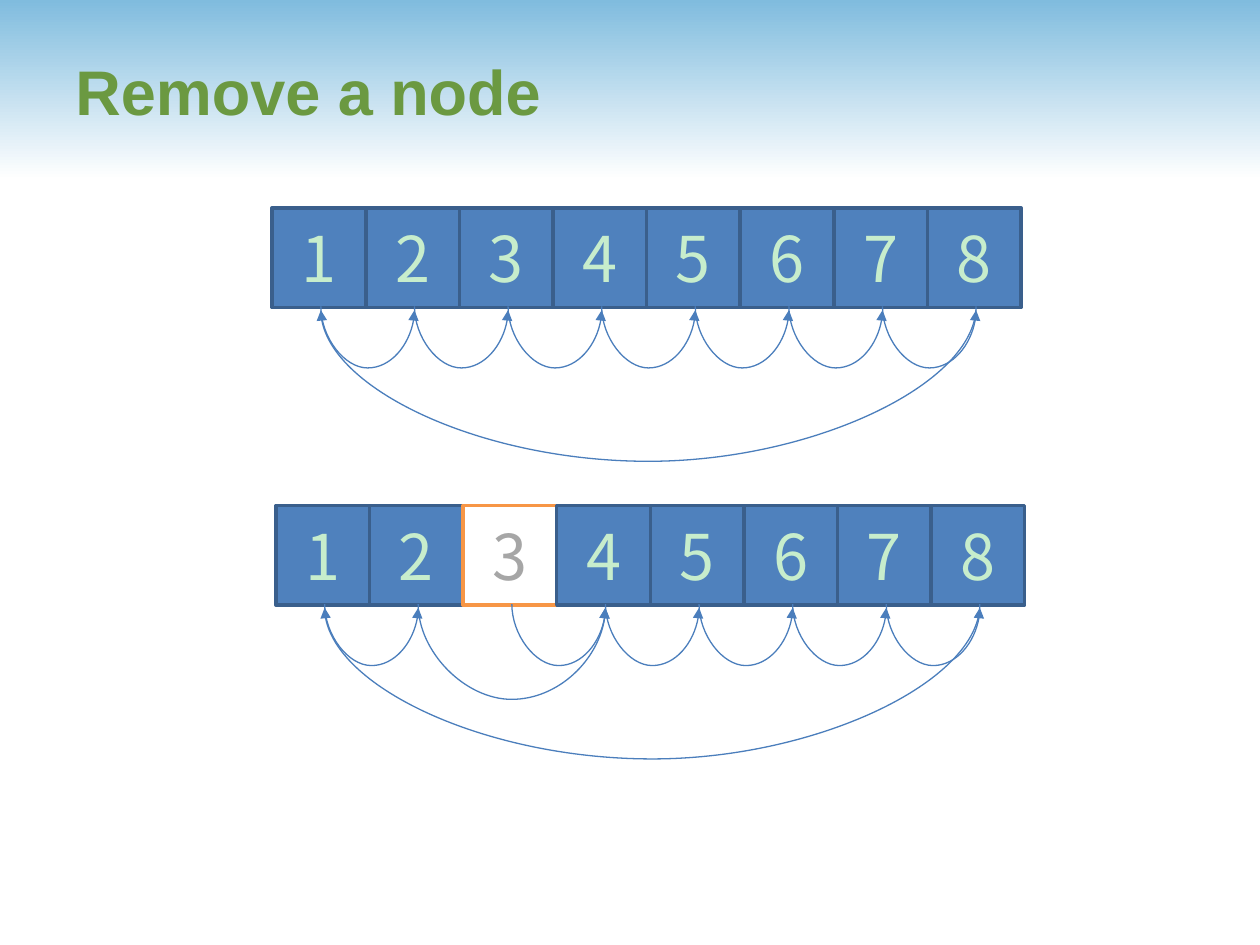
from dataclasses import dataclass
from typing import NamedTuple

from lxml import etree
from pptx import Presentation
from pptx import util as u
from pptx.dml.color import RGBColor
from pptx.enum import shapes, text
from pptx.oxml.ns import qn

SLIDE_W, SLIDE_H = 10, 7.5
NODES = 8
CELL_W, CELL_H = 5.2 / 7, 0.79
PORT_X, PORT_Y = 0.52 * CELL_W, 0.99 * CELL_H  # where links meet a cell
LINK_DROP = 0.03  # height difference between a link's start and its tip
BLUE, NAVY, MINT, WHITE = "4F81BD", "3A5F8C", "C7EDCC", "FFFFFF"
ORANGE, GREY, LINK_BLUE = "F79646", "A6A6A6", "4B7EBC"
SKY, GREEN = "80BCDE", "6B9941"


class Link(NamedTuple):
    """A curve between two cell numbers; its depth is in cell heights."""
    start: int
    end: int
    depth: float = 0.62


@dataclass
class NodeList:
    left: float
    top: float
    links: list[Link]
    removed: int | None = None


def color(value: str) -> RGBColor:
    return RGBColor.from_string(value)


def add_span(para, words: str, font: str, fill: str, bold: bool = False) -> None:
    span = para.add_run()
    span.text = words
    span.font.name = font
    span.font.size = u.Pt(36)
    span.font.bold = bold
    span.font.color.rgb = color(fill)


def add_header(page) -> None:
    band = page.shapes.add_shape(shapes.MSO_SHAPE.PENTAGON, 0, 0,
                                 u.Inches(SLIDE_W), u.Inches(0.19 * SLIDE_H))
    band.adjustments[0] = 0
    band.shadow.inherit = False
    band.line.fill.background()
    band.fill.gradient()
    band.fill.gradient_angle = 270
    for stop, position, shade in zip(band.fill.gradient_stops, (0, 1), (SKY, WHITE)):
        stop.position = position
        stop.color.rgb = color(shade)

    box = page.shapes.add_textbox(u.Inches(0.05 * SLIDE_W), u.Inches(0.01 * SLIDE_H),
                                  u.Inches(0.91 * SLIDE_W), u.Inches(0.17 * SLIDE_H))
    box.text_frame.word_wrap = True
    box.text_frame.vertical_anchor = text.MSO_ANCHOR.MIDDLE
    add_span(box.text_frame.paragraphs[0], "Remove a node", "Arial", GREEN, bold=True)


def add_cell(page, nodes: NodeList, number: int) -> None:
    removed = number == nodes.removed
    fill, border, ink = (WHITE, ORANGE, GREY) if removed else (BLUE, NAVY, MINT)
    cell = page.shapes.add_shape(
        shapes.MSO_SHAPE.RECTANGLE,
        u.Inches(nodes.left + (number - 1) * CELL_W), u.Inches(nodes.top),
        u.Inches(CELL_W), u.Inches(CELL_H))
    cell.shadow.inherit = False
    cell.fill.solid()
    cell.fill.fore_color.rgb = color(fill)
    cell.line.color.rgb = color(border)
    cell.line.width = u.Pt(2)
    cell.text_frame.vertical_anchor = text.MSO_ANCHOR.MIDDLE
    para = cell.text_frame.paragraphs[0]
    para.alignment = text.PP_ALIGN.CENTER
    add_span(para, str(number), "Noto Sans CJK TC", ink)


def add_link(page, nodes: NodeList, link: Link) -> None:
    """Draw a sagging curve: a tall, thin connector turned by a quarter."""
    span = abs(link.end - link.start) * CELL_W
    middle = nodes.left + PORT_X + ((link.start + link.end) / 2 - 1) * CELL_W
    left = middle - LINK_DROP / 2
    top = nodes.top + PORT_Y + LINK_DROP / 2 - span / 2
    curve = page.shapes.add_connector(
        shapes.MSO_CONNECTOR.CURVE, u.Inches(left), u.Inches(top),
        u.Inches(left + LINK_DROP), u.Inches(top + span))
    curve.line.color.rgb = color(LINK_BLUE)
    curve.line.width = u.Pt(0.75)

    properties = curve._element.spPr
    frame = properties.find(qn("a:xfrm"))
    forward = link.end > link.start
    frame.set("rot", str((270 if forward else 90) * 60000))
    if forward:
        frame.set("flipH", "1")
    bend = round(link.depth * CELL_H / LINK_DROP * 100000)
    guides = properties.find(qn("a:prstGeom")).get_or_add_avLst()
    etree.SubElement(guides, qn("a:gd"), name="adj1", fmla=f"val {bend}")
    etree.SubElement(properties.find(qn("a:ln")), qn("a:tailEnd"), type="triangle")
    etree.SubElement(properties, qn("a:effectLst"))


def add_node_list(page, nodes: NodeList) -> None:
    for number in range(1, NODES + 1):
        add_cell(page, nodes, number)
    for link in nodes.links:
        add_link(page, nodes, link)


def main() -> None:
    deck = Presentation()
    deck.slide_width, deck.slide_height = u.Inches(SLIDE_W), u.Inches(SLIDE_H)
    page = deck.slides.add_slide(deck.slide_layouts[6])
    page.background.fill.solid()
    page.background.fill.fore_color.rgb = color(WHITE)
    add_header(page)

    chain = [Link(number, number + 1) for number in range(1, NODES)]
    wrap = Link(NODES, 1, 1.56)
    bypass = Link(2, 4, 0.96)
    kept = [link for link in chain if link.end != 3]
    add_node_list(page, NodeList(0.216 * SLIDE_W, 0.22 * SLIDE_H, chain + [wrap]))
    add_node_list(page, NodeList(0.219 * SLIDE_W, 0.535 * SLIDE_H,
                                 kept + [bypass, wrap], removed=3))
    deck.save("out.pptx")


if __name__ == "__main__":
    main()
